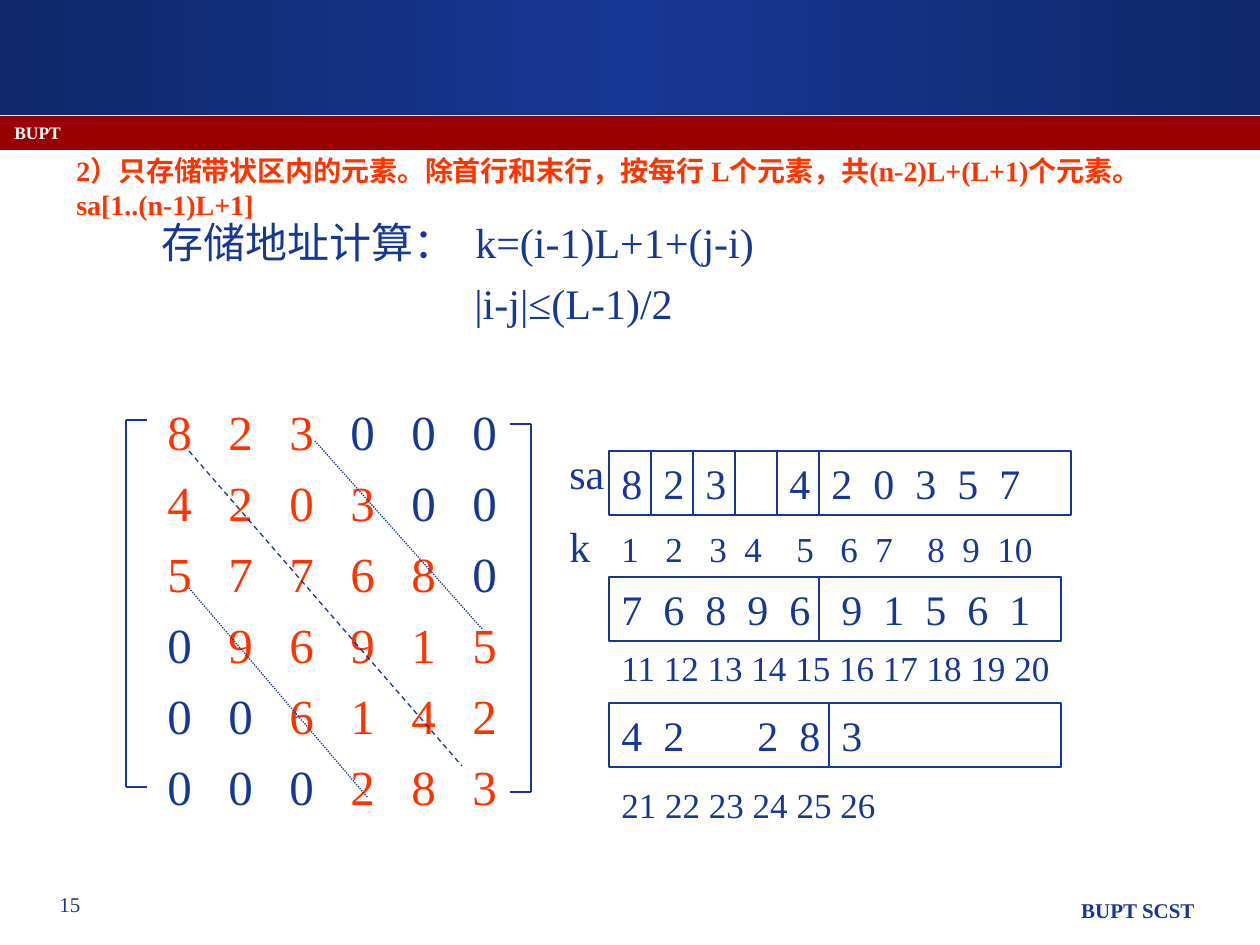
from copy import deepcopy

from lxml import etree
from pptx import Presentation
from pptx import util as u
from pptx.dml.color import RGBColor
from pptx.enum import dml, shapes, text
from pptx.oxml import ns

PX = u.Inches(1) // 126
BLUE, RED = "163794", "FF3300"
FONT = "Times New Roman"

presentation = Presentation()
presentation.slide_width, presentation.slide_height = 1260 * PX, 945 * PX
slide = presentation.slides.add_slide(presentation.slide_layouts[6])
color = RGBColor.from_string


def write(content, box=None, shape=None, size=24, fill=BLUE, bold=False,
          align=text.PP_ALIGN.LEFT, anchor=text.MSO_ANCHOR.TOP, before=0, tabs=()):
    """Add one paragraph to a shape, or to a new text box placed at box.

    content is a string or a list of (string, size, colour) runs.
    """
    if shape is None:
        shape = slide.shapes.add_textbox(*(value * PX for value in box))
    frame = shape.text_frame
    frame.word_wrap = True
    frame.vertical_anchor = anchor
    paragraph = frame.add_paragraph() if frame.text else frame.paragraphs[0]
    paragraph.alignment = align
    paragraph.space_before = u.Pt(before)
    if tabs:
        tab_list = etree.SubElement(paragraph._p.get_or_add_pPr(), ns.qn("a:tabLst"))
        for tab in tabs:
            etree.SubElement(tab_list, ns.qn("a:tab"), pos=str(tab * PX), algn="l")
    runs = [(content, size, fill)] if isinstance(content, str) else content
    for string, run_size, run_color in runs:
        run = paragraph.add_run()
        run.text = string
        run.font.name = FONT
        run.font.size = u.Pt(run_size)
        run.font.bold = bold
        run.font.color.rgb = color(run_color)
    return shape


def add_line(x1, y1, x2, y2, dash=None):
    line = slide.shapes.add_connector(
        shapes.MSO_CONNECTOR.STRAIGHT, x1 * PX, y1 * PX, x2 * PX, y2 * PX)
    line.line.color.rgb = color(BLUE)
    line.line.width = u.Pt(0.75)
    line.line.dash_style = dash
    etree.SubElement(line._element.spPr, ns.qn("a:effectLst"))


# Header bands
bands = []
for top, height in ((0, 115), (116, 34)):
    band = slide.shapes.add_shape(
        shapes.MSO_SHAPE.RECTANGLE, 0, top * PX, 1260 * PX, height * PX)
    band.shadow.inherit = False
    band.line.fill.background()
    bands.append(band)
blue_band, red_band = bands
red_band.fill.solid()
red_band.fill.fore_color.rgb = color("990000")
blue_band.fill.gradient()
blue_band.fill.gradient_angle = 0
stop_list = blue_band._element.spPr.find(".//" + ns.qn("a:gsLst"))
stop_list.insert(1, deepcopy(stop_list[0]))
for stop, position, shade in zip(
        blue_band.fill.gradient_stops, (0, 0.5, 1), ("10276A", BLUE, "10276A")):
    stop.position = position
    stop.color.rgb = color(shade)

# Header, footer and title
write("BUPT SCST", (530, 891, 677, 44), size=12, bold=True, align=text.PP_ALIGN.RIGHT)
write("15", (15, 885, 110, 44), size=12, align=text.PP_ALIGN.CENTER)
write("BUPT", (2, 116, 1166, 32), size=10, fill="FFFFFF", bold=True)
write("2）只存储带状区内的元素。除首行和末行，按每行 L个元素，共(n-2)L+(L+1)个元素。sa[1..(n-1)L+1]",
      (64, 135, 1071, 105), size=16, fill=RED, bold=True, anchor=text.MSO_ANCHOR.MIDDLE)

# Address formula and band matrix
body = write("\t存储地址计算：\tk=(i-1)L+1+(j-i)", (94, 210, 1071, 640), tabs=(55, 369))
write("\t|i-j|≤(L-1)/2", shape=body, before=6, tabs=(368,))
matrix = ("823000", "420300", "577680", "096915", "006142", "000283")
for i, row in enumerate(matrix):
    cells = [("\t" + digit, 28, RED if abs(i - j) <= 2 else BLUE)
             for j, digit in enumerate(row)]
    write(cells, shape=body, before=7 if i else 42, tabs=[61 * n for n in range(1, 7)])

# Matrix brackets: spine x, tip x, top, bottom
for spine, tip, top, bottom in ((126, 147, 420, 787), (531, 510, 424, 792)):
    add_line(spine, top, spine, bottom)
    for y in (top, bottom):
        add_line(spine, y, tip, y)

# Band edges and main diagonal
add_line(315, 441, 483, 630, dml.MSO_LINE.ROUND_DOT)
add_line(189, 588, 368, 798, dml.MSO_LINE.ROUND_DOT)
add_line(189, 451, 462, 766, dml.MSO_LINE.DASH)

# Storage array: top, width, values, value offsets, separators
storage = (
    (451, 462, "823420357", (42, 84, 168, 210, 252, 294, 336, 378),
     (651, 693, 735, 777, 819)),
    (577, 452, "7689691561", (42, 84, 126, 168, 220, 262, 304, 346, 388), (819,)),
    (703, 452, "42283", (42, 136, 178, 220), (829,)),
)
for top, width, values, offsets, separators in storage:
    cell_row = slide.shapes.add_shape(
        shapes.MSO_SHAPE.RECTANGLE, 609 * PX, top * PX, width * PX, 64 * PX)
    cell_row.shadow.inherit = False
    cell_row.fill.background()
    cell_row.line.color.rgb = color(BLUE)
    cell_row.line.width = u.Pt(0.75)
    write("\t".join(values), shape=cell_row, tabs=offsets)
    for x in separators:
        add_line(x, top, x, top + 63)

# Array name and indices
write("sa", (557, 441, 63, 63))
indices = "".join(f"\t{n}" for n in range(1, 11))
write([("k", 24, BLUE), (indices, 20, BLUE)], (557, 514, 514, 63),
      tabs=(52, 96, 140, 175, 227, 271, 306, 358, 393, 428))
for first, last, top, width in ((11, 20, 640, 462), (21, 26, 777, 305)):
    write(" ".join(str(n) for n in range(first, last + 1)), (609, top, width, 54), size=20)

presentation.save("out.pptx")
